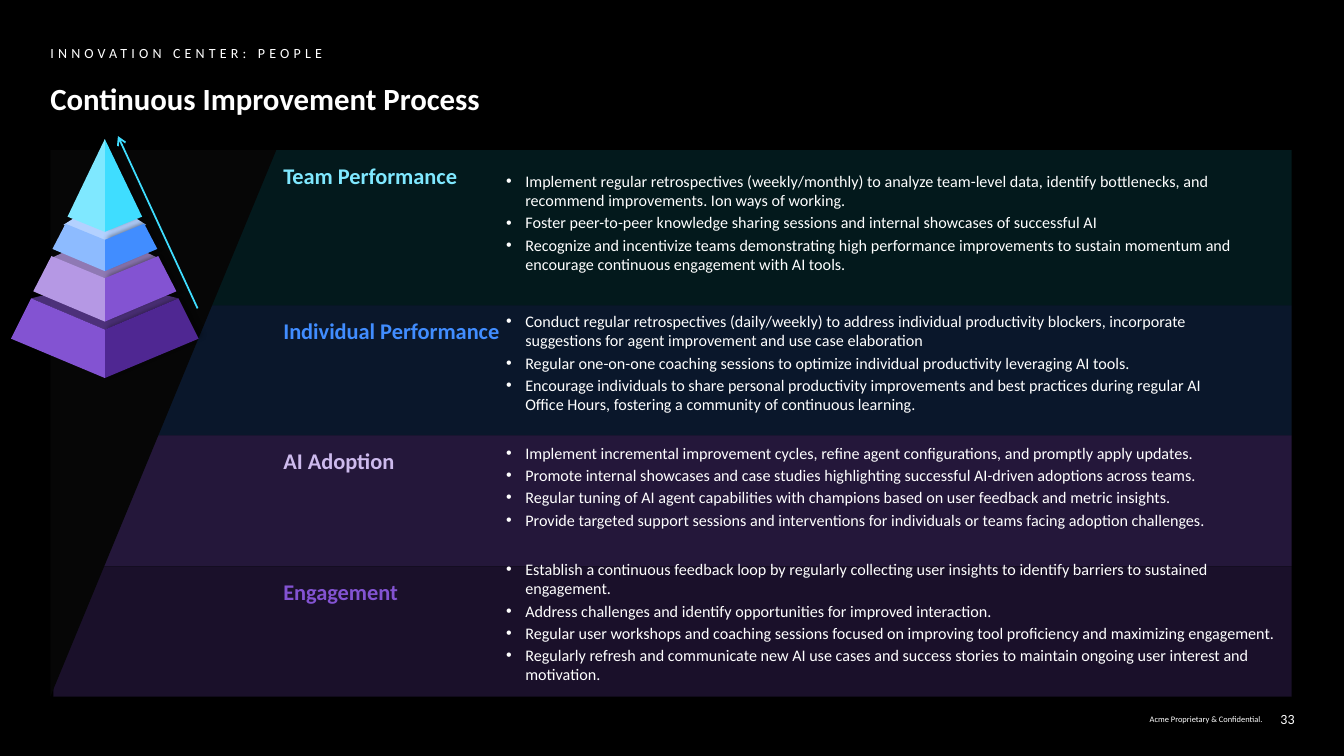
"""Build the Continuous Improvement Process slide."""
from itertools import accumulate

from lxml import etree
from pptx import Presentation
from pptx import util as u
from pptx.dml.color import RGBColor
from pptx.enum import shapes, text
from pptx.oxml.ns import qn

PX = 9144
COLORS = {
    "black": "000000", "white": "FFFFFF", "shade": "060606", "teal": "107E8D",
    "cyan": "3FDDFF", "light_cyan": "7FE8FF",
    "blue": "418DFF", "mid_blue": "8DBBFF", "light_blue": "B3D1FF",
    "purple": "8353D2", "deep_purple": "5E2EAE", "lilac": "B598E4", "light_lilac": "CDBAED",
}


def rgb(name):
    """Return the named colour."""
    return RGBColor.from_string(COLORS[name])


def sub(parent, tag, **attrs):
    """Append a DrawingML element."""
    return etree.SubElement(parent, qn(f"a:{tag}"), {k: str(v) for k, v in attrs.items()})


def write(tf, lines, size, color="white", bold=False, align=None, anchor=None, spacing=None,
          after=None, tracking=None, bullet=False, insets=(0, 0, 0, 0)):
    """Fill a text frame with formatted paragraphs."""
    tf.word_wrap = True
    tf.margin_left, tf.margin_top, tf.margin_right, tf.margin_bottom = (i * PX for i in insets)
    tf.vertical_anchor = anchor or text.MSO_ANCHOR.TOP
    for i, line in enumerate(lines):
        p = tf.add_paragraph() if i else tf.paragraphs[0]
        p.alignment = align or text.PP_ALIGN.LEFT
        if bullet:
            p.level = 1
            pPr = p._p.get_or_add_pPr()
            pPr.set("marL", str(19 * PX))
            pPr.set("indent", str(-19 * PX))
            sub(pPr, "buFont", typeface="Arial")
            sub(pPr, "buChar", char="•")
        if spacing:
            p.line_spacing = spacing
        if after:
            p.space_after = u.Pt(after)
        r = p.add_run()
        r.text = line
        r.font.name, r.font.size, r.font.bold = "Calibri", u.Pt(size), bold
        r.font.color.rgb = rgb(color)
        if tracking:
            r._r.get_or_add_rPr().set("spc", str(tracking * 100))


class Deck:
    """Hold the style and the current slide."""

    def __init__(self, width, height):
        """Start a black slide of the given size."""
        self.prs = Presentation()
        self.prs.slide_width, self.prs.slide_height = width * PX, height * PX
        self.slide = self.prs.slides.add_slide(self.prs.slide_layouts[6])
        self.shapes = self.slide.shapes
        fill = self.slide.background.fill
        fill.solid()
        fill.fore_color.rgb = rgb("black")

    def paint(self, s, color, opacity=100, shadow=False):
        """Give a shape a flat fill, no line and an optional shadow."""
        s.fill.solid()
        s.fill.fore_color.rgb = rgb(color)
        if opacity < 100:
            clr = s._element.spPr.find(".//" + qn("a:srgbClr"))
            sub(clr, "alpha", val=opacity * 1000)
        s.line.fill.background()
        s.shadow.inherit = False
        if shadow:
            effects = s._element.spPr.find(qn("a:effectLst"))
            outer = sub(effects, "outerShdw", blurRad=4 * 12700, dist=3 * 12700,
                        dir=315 * 60000, algn="bl", rotWithShape=0)
            sub(sub(outer, "srgbClr", val=COLORS["black"]), "alpha", val=40000)
        return s

    def shape(self, kind, box, color, **style):
        """Add a preset shape."""
        return self.paint(self.shapes.add_shape(kind, *(v * PX for v in box)), color, **style)

    def polygon(self, points, color, **style):
        """Add a closed outline."""
        points = [(x * PX, y * PX) for x, y in points]
        builder = self.shapes.build_freeform(*points[0])
        builder.add_line_segments(points[1:], close=True)
        return self.paint(builder.convert_to_shape(), color, **style)

    def label(self, box, lines, size, **style):
        """Add a text box."""
        s = self.shapes.add_textbox(*(v * PX for v in box))
        write(s.text_frame, lines, size, **style)
        return s

    def arrow(self, start, end, color, width):
        """Add a straight arrow."""
        s = self.shapes.add_connector(shapes.MSO_CONNECTOR.STRAIGHT,
                                      *(v * PX for v in (*start, *end)))
        s.line.color.rgb = rgb(color)
        s.line.width = u.Pt(width)
        sub(s.line._get_or_add_ln(), "tailEnd", type="arrow")
        sub(s._element.spPr, "effectLst")
        return s


BANDS = [
    ("Team Performance", "light_cyan", "teal", 20, 154, (170, 735, 102), [
        "Implement regular retrospectives (weekly/monthly) to analyze team-level data, identify bottlenecks, and recommend improvements. Ion ways of working.",
        "Foster peer-to-peer knowledge sharing sessions and internal showcases of successful AI",
        "Recognize and incentivize teams demonstrating high performance improvements to sustain momentum and encourage continuous engagement with AI tools.",
    ]),
    ("Individual Performance", "blue", "blue", 17, 129, (309, 716, 102), [
        "Conduct regular retrospectives (daily/weekly) to address individual productivity blockers, incorporate suggestions for agent improvement and use case elaboration",
        "Regular one-on-one coaching sessions to optimize individual productivity leveraging AI tools.",
        "Encourage individuals to share personal productivity improvements and best practices during regular AI Office Hours, fostering a community of continuous learning.",
    ]),
    ("AI Adoption", "light_lilac", "purple", 28, 130, (440, 759, 86), [
        "Implement incremental improvement cycles, refine agent configurations, and promptly apply updates.",
        "Promote internal showcases and case studies highlighting successful AI-driven adoptions across teams.",
        "Regular tuning of AI agent capabilities with champions based on user feedback and metric insights.",
        "Provide targeted support sessions and interventions for individuals or teams facing adoption challenges.",
    ]),
    ("Engagement", "purple", "purple", 20, 129, (555, 782, 125), [
        "Establish a continuous feedback loop by regularly collecting user insights to identify barriers to sustained engagement.",
        "Address challenges and identify opportunities for improved interaction.",
        "Regular user workshops and coaching sessions focused on improving tool proficiency and maximizing engagement.",
        "Regularly refresh and communicate new AI use cases and success stories to maintain ongoing user interest and motivation.",
    ]),
]
BAND_TOP = 149
AXIS = 104
TIERS = [
    ((278, 73, 296, 327), ("purple", 57), [(0, 327), (0, 375), (93, 336), (73, 296)],
     ("deep_purple", 84), "purple"),
    ((231, 53, 256, 279), ("lilac", 79), [(0, 276), (0, 319), (71, 289), (53, 254)],
     ("purple", 100), "lilac"),
    ((197, 41, 223, 245), ("light_blue", 100), [(0, 238), (0, 269), (52, 247), (39, 222)],
     ("blue", 100), "mid_blue"),
    (None, None, [(0, 138), (0, 230), (37, 215)], ("cyan", 100), "light_cyan"),
]


def main():
    """Draw the slide and save it."""
    deck = Deck(1333, 750)
    right, middle = text.PP_ALIGN.RIGHT, text.MSO_ANCHOR.MIDDLE
    deck.label((1099, 701, 153, 24), ["Acme Proprietary & Confidential."], 6,
               align=right, anchor=middle)
    deck.label((1257, 701, 27, 24), ["33"], 10, align=right, anchor=middle)
    deck.label((50, 42, 880, 32), ["INNOVATION CENTER: PEOPLE"], 10, spacing=1.1, tracking=3)
    deck.label((50, 79, 838, 50), ["Continuous Improvement Process"], 22, bold=True, after=8)

    heights = [band[4] for band in BANDS]
    tops = accumulate(heights, initial=BAND_TOP)
    for top, (name, color, fill, opacity, height, (y, w, h), bullets) in zip(tops, BANDS):
        s = deck.shape(shapes.MSO_SHAPE.RECTANGLE, (53, top, 1228, height), fill,
                       opacity=opacity)
        write(s.text_frame, [name], 16, color=color, bold=True, insets=(228, 12, 10, 5))
        deck.label((502, y, w, h), bullets, 11.5, after=2, bullet=True)

    s = deck.shape(shapes.MSO_SHAPE.RIGHT_TRIANGLE, (50, BAND_TOP, 224, sum(heights)), "shade")
    s._element.spPr.find(qn("a:xfrm")).set("flipV", "1")

    for lid, lid_style, face, (right_color, right_opacity), left_color in TIERS:
        if lid:
            back, half, side, front = lid
            color, opacity = lid_style
            deck.polygon([(AXIS, back), (AXIS - half, side), (AXIS, front),
                          (AXIS + half, side)], color, opacity=opacity)
        deck.polygon([(AXIS + x, y) for x, y in face], right_color,
                     opacity=right_opacity, shadow=True)
        deck.polygon([(AXIS - x, y) for x, y in face], left_color)

    deck.arrow((196, 306), (117, 135), "cyan", 1.25)
    deck.prs.save("out.pptx")


if __name__ == "__main__":
    main()
